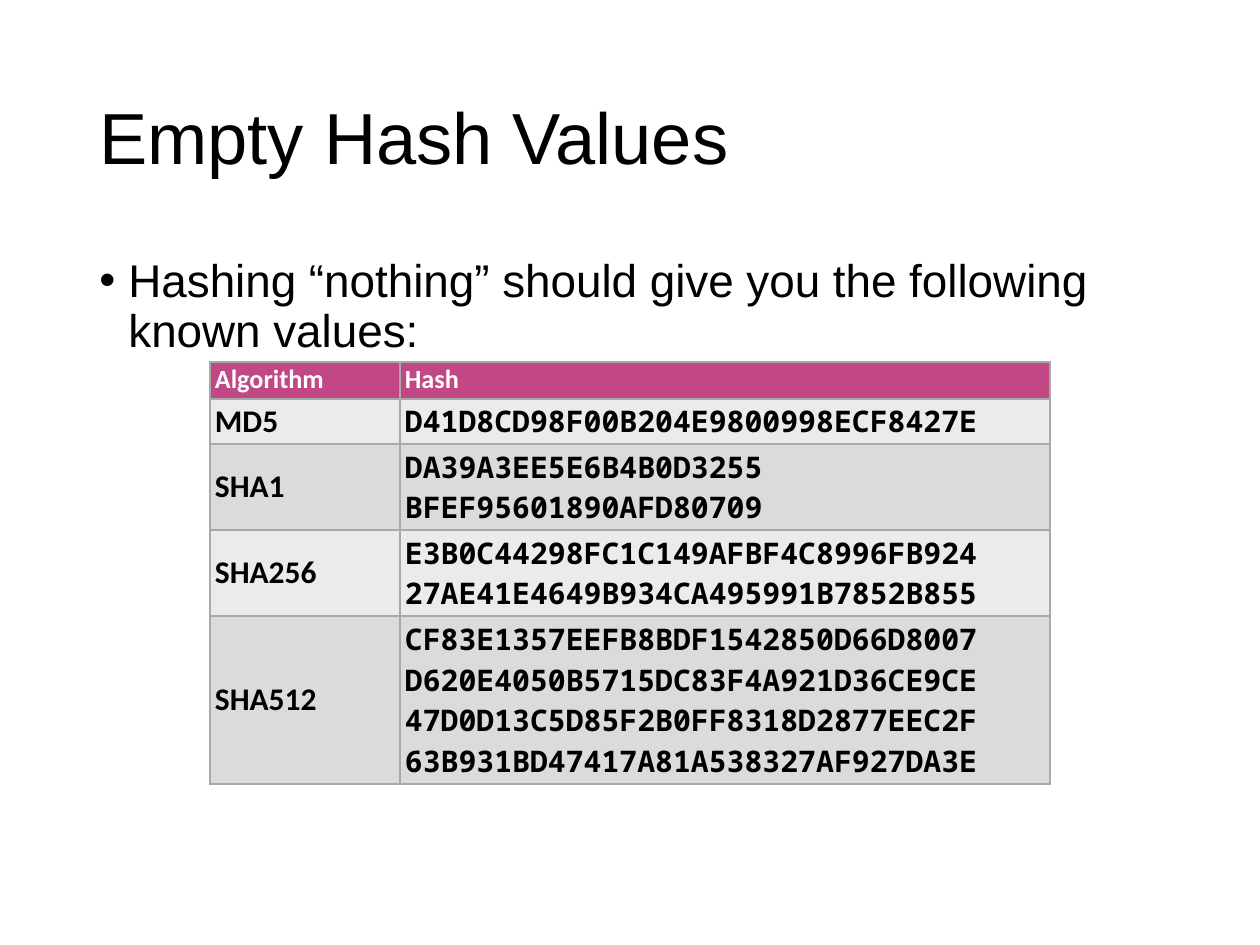
from lxml.etree import SubElement
from pptx import Presentation
from pptx.dml.color import RGBColor
from pptx.enum.text import MSO_ANCHOR
from pptx.oxml.ns import qn
from pptx.util import Pt

PX = 914400 // 126  # EMU per px
BLACK, WHITE, PINK, BORDER = "000000", "FFFFFF", "C24785", "A6AAA9"
BANDS = ["EBEBEB", "DADBDA"]

HASHES = {
    "MD5": ["D41D8CD98F00B204E9800998ECF8427E"],
    "SHA1": ["DA39A3EE5E6B4B0D3255", "BFEF95601890AFD80709"],
    "SHA256": ["E3B0C44298FC1C149AFBF4C8996FB924",
               "27AE41E4649B934CA495991B7852B855"],
    "SHA512": ["CF83E1357EEFB8BDF1542850D66D8007",
               "D620E4050B5715DC83F4A921D36CE9CE",
               "47D0D13C5D85F2B0FF8318D2877EEC2F",
               "63B931BD47417A81A538327AF927DA3E"],
}


def write(frame, lines, size, font="Arial", color=BLACK, bold=False,
          spacing=None, before=None):
    frame.word_wrap = True
    for i, line in enumerate(lines):
        paragraph = frame.paragraphs[0] if i == 0 else frame.add_paragraph()
        paragraph.line_spacing = spacing
        paragraph.space_before = before
        run = paragraph.add_run()
        run.text = line
        run.font.size = Pt(size)
        run.font.name = font
        run.font.bold = bold
        run.font.color.rgb = RGBColor.from_string(color)


def style_cell(cell, fill, anchor):
    cell.margin_left = cell.margin_right = 5 * PX
    cell.margin_top = cell.margin_bottom = 2 * PX
    cell.vertical_anchor = anchor
    # Borders come before the fill in the cell properties
    properties = cell._tc.get_or_add_tcPr()
    for side in ("a:lnL", "a:lnR", "a:lnT", "a:lnB"):
        border = SubElement(properties, qn(side), w=str(Pt(1)))
        solid = SubElement(border, qn("a:solidFill"))
        SubElement(solid, qn("a:srgbClr"), val=BORDER)
    cell.fill.solid()
    cell.fill.fore_color.rgb = RGBColor.from_string(fill)


deck = Presentation()
deck.slide_width, deck.slide_height = 1260 * PX, 945 * PX
slide = deck.slides.add_slide(deck.slide_layouts[6])

# Title
title = slide.shapes.add_textbox(87 * PX, 50 * PX, 1086 * PX, 183 * PX).text_frame
title.vertical_anchor = MSO_ANCHOR.MIDDLE
write(title, ["Empty Hash Values"], 41.3, spacing=0.9)

# Bulleted introduction
intro = slide.shapes.add_textbox(87 * PX, 252 * PX, 1086 * PX, 600 * PX).text_frame
write(intro, ["Hashing “nothing” should give you the following known values:"],
      26.2, spacing=0.9, before=Pt(9.4))
bullet = intro.paragraphs[0]._p.get_or_add_pPr()
bullet.set("marL", str(29 * PX))
bullet.set("indent", str(-29 * PX))
SubElement(bullet, qn("a:buFont"), typeface="Arial")
SubElement(bullet, qn("a:buChar"), char="•")

# Hash table: each row is as tall as its lines of hash
heights = [37] + [4 + 41 * len(lines) for lines in HASHES.values()]
table = slide.shapes.add_table(len(heights), 2, 210 * PX, 362 * PX,
                               840 * PX, sum(heights) * PX).table
table.first_row = table.horz_banding = False
for column, width in zip(table.columns, (190, 650)):
    column.width = width * PX
for row, height in zip(table.rows, heights):
    row.height = height * PX

# Header row
for col, heading in enumerate(("Algorithm", "Hash")):
    cell = table.cell(0, col)
    style_cell(cell, PINK, MSO_ANCHOR.TOP)
    write(cell.text_frame, [heading], 15, "Calibri", WHITE, bold=True)

# Algorithm rows
for row, (algorithm, lines) in enumerate(HASHES.items(), start=1):
    name, value = table.cell(row, 0), table.cell(row, 1)
    for cell in (name, value):
        style_cell(cell, BANDS[(row - 1) % 2], MSO_ANCHOR.MIDDLE)
    write(name.text_frame, [algorithm], 18, "Calibri", bold=True)
    write(value.text_frame, lines, 17, "Noto Sans Mono", bold=True)

deck.save("out.pptx")
